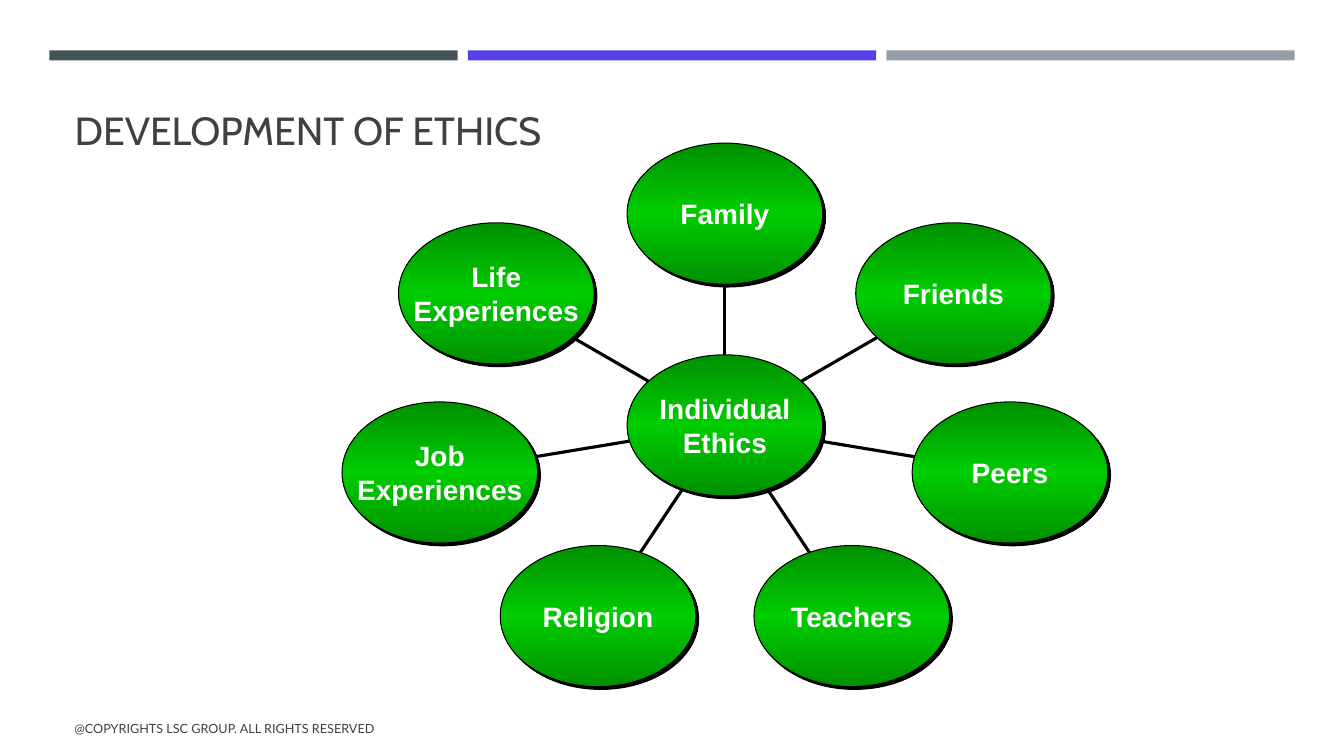
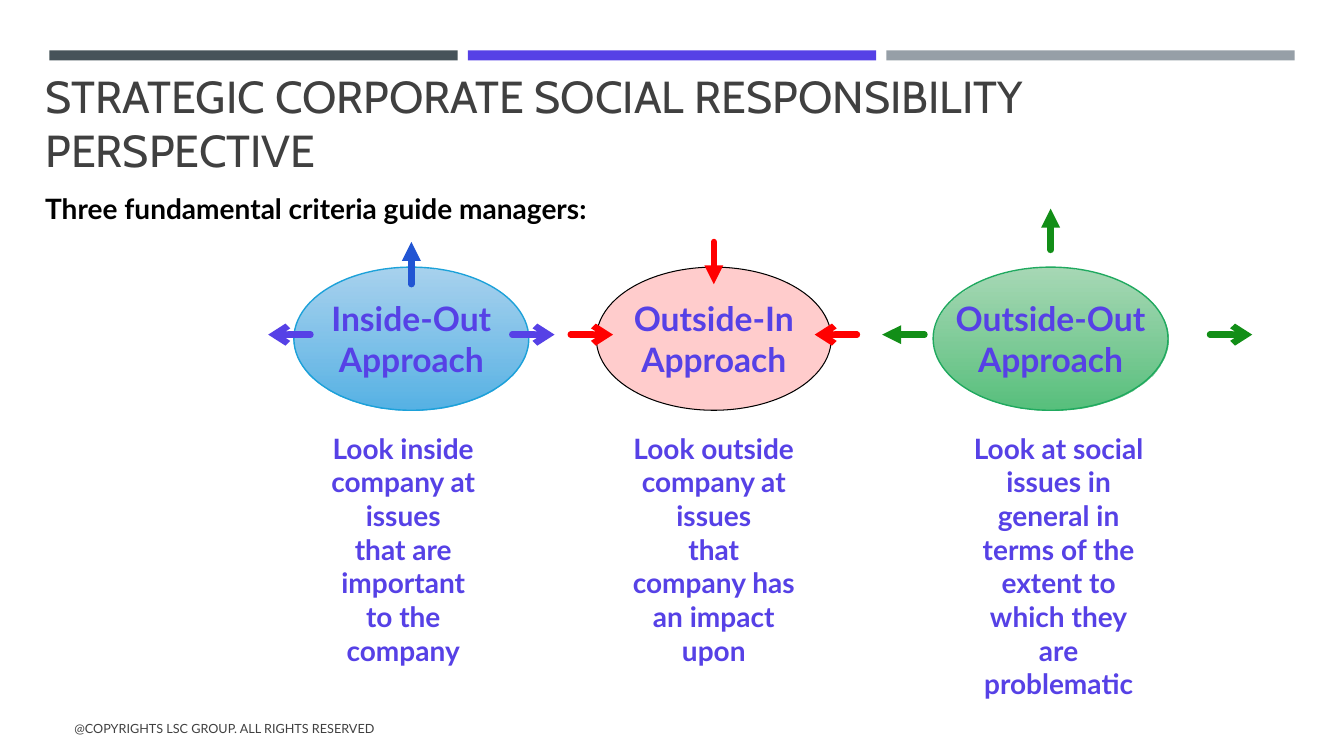
from math import cos, pi, sin

from lxml.etree import SubElement
from pptx import Presentation
from pptx.dml.color import RGBColor
from pptx.enum.shapes import MSO_CONNECTOR, MSO_SHAPE
from pptx.enum.text import MSO_ANCHOR as ANCHOR, MSO_AUTO_SIZE, PP_ALIGN as ALIGN
from pptx.oxml.ns import qn
from pptx.util import Inches, Pt

BLACK = RGBColor(0, 0, 0)
WHITE = RGBColor(255, 255, 255)
GREY = RGBColor(0x40, 0x40, 0x40)
SLATE = RGBColor(0x46, 0x53, 0x59)
SILVER = RGBColor(0x96, 0x9F, 0xA7)
VIOLET = RGBColor(0x56, 0x41, 0xE6)
BLUE = RGBColor(0x22, 0x55, 0xD3)
RED = RGBColor(255, 0, 0)
GREEN = RGBColor(0x12, 0x8E, 0x17)
LEAF = RGBColor(0, 0xCC, 0)
PINK = RGBColor(255, 0xCC, 0xCC)
SKY_LIGHT = RGBColor(0x9E, 0xCD, 0xED)
SKY = RGBColor(0x56, 0xB2, 0xE5)
SKY_EDGE = RGBColor(0x1C, 0xA1, 0xD9)
MINT_LIGHT = RGBColor(0x9D, 0xD4, 0xAD)
MINT = RGBColor(0x57, 0xC0, 0x7C)
MINT_EDGE = RGBColor(0x20, 0xA9, 0x5F)

TITLE_FONT, BODY_FONT, NODE_FONT = "Cabin", "Lato", "Arial"
BARS = [SLATE, VIOLET, SILVER]
FOOTER = "@COPYRIGHTS LSC GROUP. ALL RIGHTS RESERVED"

WHEEL_TITLE = "DEVELOPMENT OF ETHICS"
HUB = "Individual\nEthics"
INFLUENCES = ["Family", "Friends", "Peers", "Teachers", "Religion",
              "Job\nExperiences", "Life\nExperiences"]
HUB_X, HUB_Y = 7.19, 4.22
RADIUS_X, RADIUS_Y = 2.9, 2.1
NODE_W, NODE_H = 1.94, 1.4
NODE_FILL = [(0, LEAF, "shade", 46275), (50, LEAF, None, None),
             (100, LEAF, "shade", 46275)]

CSR_TITLE = "STRATEGIC CORPORATE SOCIAL RESPONSIBILITY PERSPECTIVE"
CSR_LEAD = "Three fundamental criteria guide managers:"
OVAL_W, OVAL_H, OVAL_Y = 2.33, 1.42, 2.65
ARROW_Y = 3.32
APPROACHES = [
    dict(name="Inside-Out\nApproach", x=4.08, text_x=4.0,
         fill=[(0, SKY_LIGHT, "alpha", 90000), (100, SKY, None, None)],
         edge=SKY_EDGE, edge_pt=1,
         text="Look inside\ncompany at\nissues\nthat are\nimportant\nto the\ncompany",
         upright=(2.82, 2.4, BLUE), color=VIOLET,
         sides=[(1, 1.42, "arrow"), (-1, -1.42, "arrow")]),
    dict(name="Outside-In\nApproach", x=7.08, text_x=7.08,
         fill=PINK, edge=BLACK, edge_pt=0.75,
         text="Look outside\ncompany at\nissues\nthat\ncompany has\nan impact\nupon",
         upright=(2.4, 2.82, RED), color=RED,
         sides=[(1.42, 1, "arrow"), (-1.42, -1, "arrow")]),
    dict(name="Outside-Out\nApproach", x=10.42, text_x=10.5,
         fill=[(0, MINT_LIGHT, "alpha", 90000), (100, MINT, None, None)],
         edge=MINT_EDGE, edge_pt=1,
         text="Look at social\nissues in\ngeneral in\nterms of the\nextent to\nwhich they\nare\nproblematic",
         upright=(2.48, 2.07, GREEN), color=GREEN,
         sides=[(1.58, 2, "arrow"), (-1.25, -1.67, "triangle")]),
]


def write(sp, text, size, font, color, bold=False, align=ALIGN.LEFT,
          anchor=ANCHOR.MIDDLE, wrap=True):
    tf = sp.text_frame
    tf.text = text
    tf.word_wrap = wrap
    tf.auto_size = MSO_AUTO_SIZE.NONE
    tf.vertical_anchor = anchor
    for p in tf.paragraphs:
        p.alignment = align
        for r in p.runs:
            r.font.size, r.font.name, r.font.bold = Pt(size), font, bold
            r.font.color.rgb = color
    return tf


def add_text(s, at, text, size, color, **style):
    sp = s.shapes.add_textbox(*map(Inches, at))
    return write(sp, text, size, BODY_FONT, color, **style)


def fill_gradient(sp, stops):
    sp.fill.gradient()
    sp.fill.gradient_angle = 270
    gs_list = sp._element.spPr.find(qn("a:gradFill")).find(qn("a:gsLst"))
    for gs in list(gs_list):
        gs_list.remove(gs)
    for pos, color, effect, amount in stops:
        gs = SubElement(gs_list, qn("a:gs"), pos=str(pos * 1000))
        clr = SubElement(gs, qn("a:srgbClr"), val=str(color))
        if effect:
            SubElement(clr, qn("a:" + effect), val=str(amount))


def add_oval(s, x, y, w, h, fill, edge, edge_pt):
    sp = s.shapes.add_shape(MSO_SHAPE.OVAL, Inches(x - w / 2), Inches(y - h / 2),
                            Inches(w), Inches(h))
    if isinstance(fill, list):
        fill_gradient(sp, fill)
    else:
        sp.fill.solid()
        sp.fill.fore_color.rgb = fill
    sp.line.color.rgb = edge
    sp.line.width = Pt(edge_pt)
    sp.shadow.inherit = False
    return sp


def add_line(s, x1, y1, x2, y2, color, width, head=None):
    cx = s.shapes.add_connector(MSO_CONNECTOR.STRAIGHT,
                                *map(Inches, (x1, y1, x2, y2)))
    cx.line.color.rgb = color
    cx.line.width = Pt(width)
    spPr = cx._element.spPr
    if head:
        ln = spPr.find(qn("a:ln"))
        ln.set("cap", "rnd")
        SubElement(ln, qn("a:tailEnd"), type=head)
    SubElement(spPr, qn("a:effectLst"))


def add_node(s, x, y, text):
    sp = add_oval(s, x, y, NODE_W, NODE_H, NODE_FILL, BLACK, 0.75)
    shadow = SubElement(sp._element.spPr.find(qn("a:effectLst")), qn("a:outerShdw"),
                        dist=str(Pt(2.8)), dir="2700000", algn="ctr", rotWithShape="0")
    SubElement(shadow, qn("a:srgbClr"), val=str(BLACK))
    tf = write(sp, text, 20, NODE_FONT, WHITE, True, ALIGN.CENTER, wrap=False)
    tf.margin_left = tf.margin_right = tf.margin_top = tf.margin_bottom = 0


def add_slide(prs, title, at, size):
    s = prs.slides.add_slide(prs.slide_layouts[5])
    for i, color in enumerate(BARS):
        bar = s.shapes.add_shape(MSO_SHAPE.RECTANGLE, Inches(0.49 + 4.15 * i),
                                 Inches(0.5), Inches(4.05), Inches(0.1))
        bar.fill.solid()
        bar.fill.fore_color.rgb = color
        bar.line.fill.background()
        bar.shadow.inherit = False
    sp = s.shapes.title
    sp.left, sp.top, sp.width, sp.height = map(Inches, at)
    write(sp, title, size, TITLE_FONT, GREY, anchor=ANCHOR.BOTTOM)
    add_text(s, (0.64, 7.03, 7.56, 0.4), FOOTER, 9, GREY)
    return s


def build_wheel(prs):
    s = add_slide(prs, WHEEL_TITLE, (0.64, 0.77, 12.06, 0.8), 28)
    for i, name in enumerate(INFLUENCES):
        angle = 2 * pi * i / len(INFLUENCES)
        dx, dy = RADIUS_X * sin(angle), -RADIUS_Y * cos(angle)
        add_line(s, HUB_X + dx / 3, HUB_Y + dy / 3,
                 HUB_X + dx * 2 / 3, HUB_Y + dy * 2 / 3, BLACK, 2.25)
        add_node(s, HUB_X + dx, HUB_Y + dy, name)
    add_node(s, HUB_X, HUB_Y, HUB)


def build_approaches(prs):
    s = add_slide(prs, CSR_TITLE, (0.35, 0.5, 12.06, 1.3), 32)
    add_text(s, (0.35, 1.85, 6.67, 0.44), CSR_LEAD, 20, BLACK, bold=True,
             anchor=ANCHOR.TOP)
    for a in APPROACHES:
        x = a["x"]
        sp = add_oval(s, x, OVAL_Y + OVAL_H / 2, OVAL_W, OVAL_H,
                      a["fill"], a["edge"], a["edge_pt"])
        write(sp, a["name"], 24, BODY_FONT, VIOLET, True, ALIGN.CENTER, wrap=False)
        add_text(s, (a["text_x"] - OVAL_W / 2, 4.23, OVAL_W, 2.75), a["text"], 20,
                 VIOLET, bold=True, align=ALIGN.CENTER, anchor=ANCHOR.TOP, wrap=False)
        start, end, color = a["upright"]
        add_line(s, x, start, x, end, color, 4.5, "triangle")
        for start, end, head in a["sides"]:
            add_line(s, x + start, ARROW_Y, x + end, ARROW_Y, a["color"], 4.5, head)


def main():
    prs = Presentation()
    prs.slide_width, prs.slide_height = Inches(13.33), Inches(7.5)
    build_wheel(prs)
    build_approaches(prs)
    prs.save("out.pptx")


if __name__ == "__main__":
    main()
